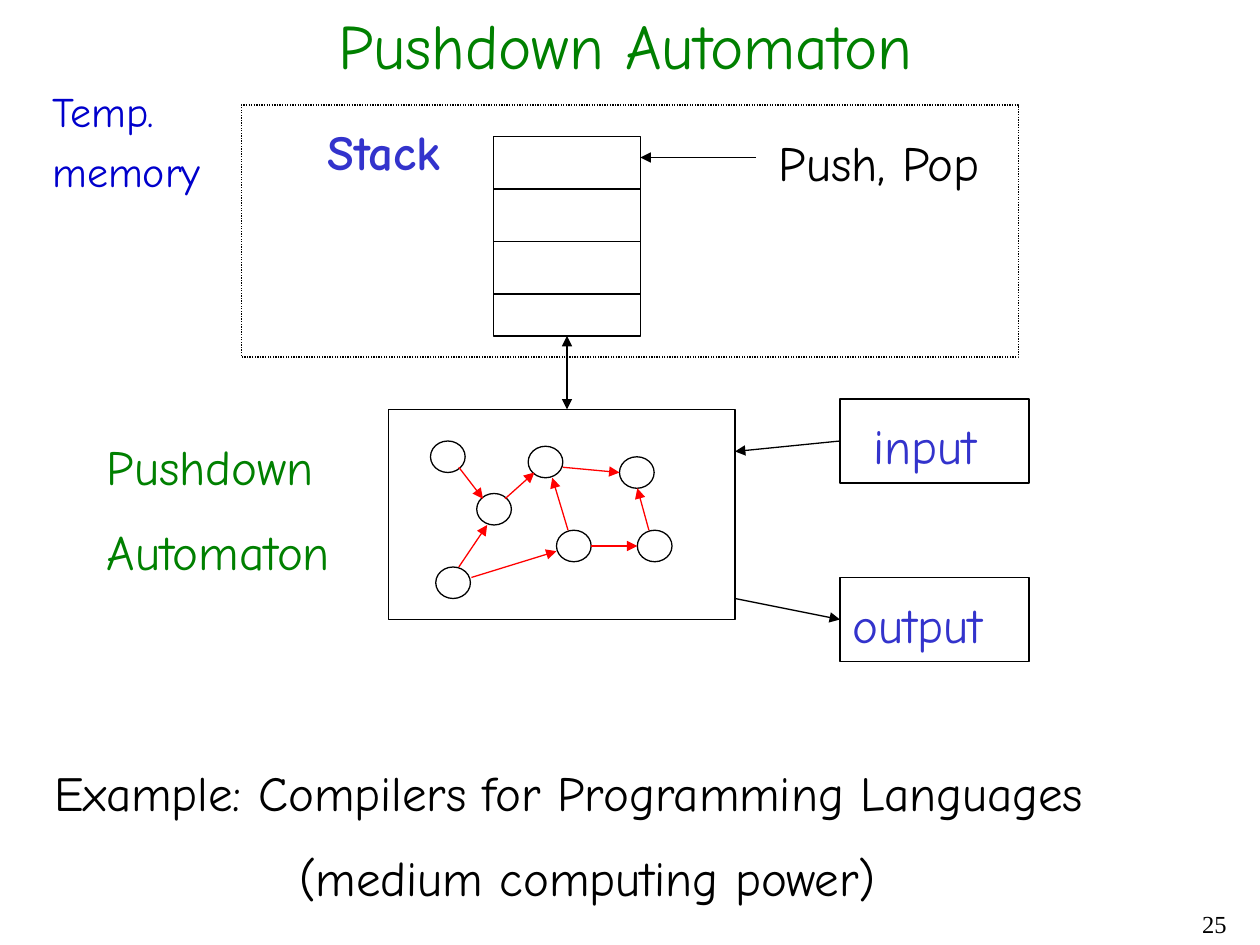
from lxml import etree
from pptx import Presentation, util as u
from pptx.dml.color import RGBColor
from pptx.enum import dml, shapes, text
from pptx.oxml.ns import qn

PX = 7620
COLORS = {"ink": "000000", "green": "008000", "violet": "3333CC", "blue": "0000CC", "red": "FF0000"}
HAND = "Comic Neue"
LINE_WIDTH = u.Pt(0.75)


def px(*lengths):
    return [u.Emu(length * PX) for length in lengths]


def rgb(color):
    return RGBColor.from_string(COLORS[color])


def fill_text(frame, lines, color, size=28, font=HAND, align="LEFT", gap=15, bold=False):
    frame.word_wrap = True
    frame.vertical_anchor = text.MSO_ANCHOR.TOP
    font_format = {"name": font, "size": u.Pt(size), "bold": bold}
    for index, line in enumerate(lines):
        paragraph = frame.paragraphs[0] if index == 0 else frame.add_paragraph()
        paragraph.alignment = getattr(text.PP_ALIGN, align)
        paragraph.space_before = u.Pt(gap if index else 0)
        run = paragraph.add_run()
        run.text = line
        for name, value in font_format.items():
            setattr(run.font, name, value)
        run.font.color.rgb = rgb(color)


def add_label(slide, box, lines, color, **options):
    frame = slide.shapes.add_textbox(*px(*box)).text_frame
    fill_text(frame, lines, color, **options)
    return frame


def add_outline(parent, box, kind="RECTANGLE", dash=None):
    outline = parent.shapes.add_shape(getattr(shapes.MSO_SHAPE, kind), *px(*box))
    outline.shadow.inherit = False
    outline.fill.background()
    outline.line.color.rgb = rgb("ink")
    outline.line.width = LINE_WIDTH
    if dash:
        outline.line.dash_style = dash


def add_line(parent, x1, y1, x2, y2, color="ink", ends=()):
    line = parent.shapes.add_connector(shapes.MSO_CONNECTOR.STRAIGHT, *px(x1, y1, x2, y2))
    line.line.color.rgb = rgb(color)
    line.line.width = LINE_WIDTH
    properties = line._element.spPr
    for end in ends:
        etree.SubElement(properties.find(qn("a:ln")), qn(f"a:{end}"), type="triangle")
    etree.SubElement(properties, qn("a:effectLst"))


def place_title(slide, left, top, width, height):
    title = slide.shapes.title
    place = dict(zip(("left", "top", "width", "height"), px(left, top, width, height)))
    for name, value in place.items():
        setattr(title, name, value)
    fill_text(title.text_frame, ["Pushdown Automaton"], "green", size=36)


def draw_memory(slide, left, top, width, height):
    add_outline(slide, (left, top, width, height), dash=dml.MSO_LINE.ROUND_DOT)
    add_label(slide, (left - 192, top - 24, 169, 118), ["Temp.", "memory"], "blue", size=24, gap=5)
    add_label(slide, (left + 70, top + 10, 154, 68), ["Stack"], "violet", bold=True)
    stack_left, stack_top, stack_width, cell_height = left + 240, top + 30, 140, 50
    stack_right = stack_left + stack_width
    add_outline(slide, (stack_left, stack_top, stack_width, 190))
    for cell in range(1, 4):
        y = stack_top + cell * cell_height
        add_line(slide, stack_left, y, stack_right, y)
    add_line(slide, stack_right + 110, top + 50, stack_right, top + 50, ends=["tailEnd"])
    add_label(slide, (left + 500, top + 20, 223, 68), ["Push, Pop"], "ink")


def draw_automaton(slide, left, top, width, height):
    states = [(40, 30), (84, 80), (133, 35), (160, 115), (220, 45), (45, 150), (237, 115)]
    transitions = [
        (67, 55, 90, 85), (111, 85, 139, 60), (166, 55, 220, 60), (171, 115, 156, 65),
        (67, 150, 94, 110), (79, 160, 160, 135), (193, 130, 237, 130), (248, 115, 237, 75),
    ]
    add_outline(slide, (left, top, width, height))
    add_label(slide, (left - 280, top + 20, 260, 152), ["Pushdown", "Automaton"], "green")
    add_line(slide, left + 170, top - 70, left + 170, top, ends=["headEnd", "tailEnd"])
    graph = slide.shapes.add_group_shape()
    for x, y in states:
        add_outline(graph, (left + x, top + y, 33, 30), "OVAL")
    for x1, y1, x2, y2 in transitions:
        add_line(graph, left + x1, top + y1, left + x2, top + y2, "red", ["tailEnd"])


def draw_port(slide, left, top, width, height, label, label_box, arrow):
    x, y, label_width = label_box
    add_outline(slide, (left, top, width, height))
    add_label(slide, (left + x, top + y, label_width, 68), [label], "violet")
    x1, y1, x2, y2 = arrow
    add_line(slide, left + x1, top + y1, left + x2, top + y2, ends=["tailEnd"])


def write_example(slide, left, top, width, height):
    lines = ["Example: Compilers for Programming Languages", "(medium computing power)"]
    frame = add_label(slide, (left, top, width, height), lines, "ink")
    frame.paragraphs[1]._p.get_or_add_pPr().set("marL", str(233 * PX))


def main():
    deck = Presentation()
    deck.slide_width, deck.slide_height = px(1200, 900)
    slide = deck.slides.add_slide(deck.slide_layouts[5])
    place_title(slide, 310, 0, 611, 84)
    draw_memory(slide, 230, 100, 740, 240)
    draw_automaton(slide, 370, 390, 330, 200)
    draw_port(slide, 800, 380, 180, 80, "input", (20, 10, 133), (0, 40, -100, 50))
    draw_port(slide, 800, 550, 180, 80, "output", (0, 10, 167), (-100, 20, 0, 40))
    write_example(slide, 40, 720, 1081, 152)
    add_label(slide, (930, 860, 250, 40), ["25"], "ink", size=14, font="Times New Roman", align="RIGHT")
    deck.save("out.pptx")


if __name__ == "__main__":
    main()
